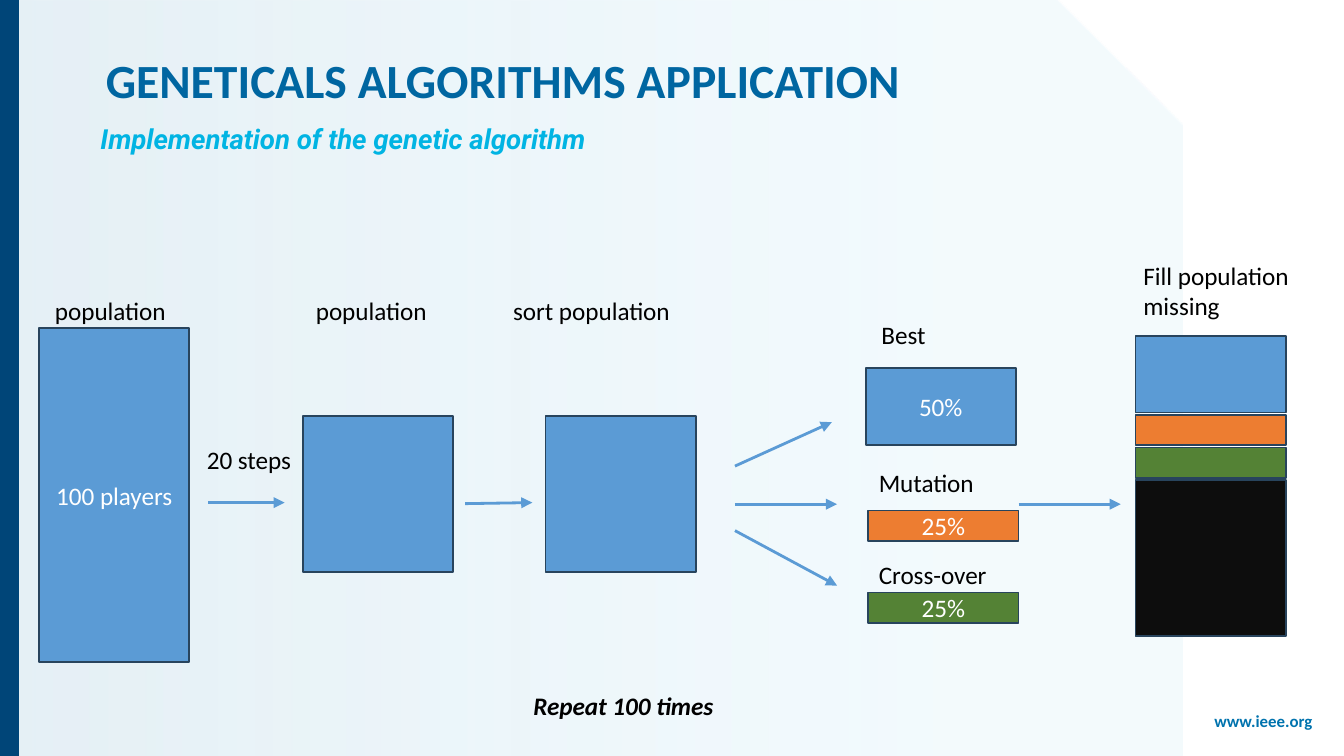
import pptx
import pptx.util
import pptx.dml.color
import pptx.enum.shapes
import pptx.enum.text
import pptx.oxml
import pptx.oxml.ns

Cm, Pt = pptx.util.Cm, pptx.util.Pt
RGBColor = pptx.dml.color.RGBColor
Shape = pptx.enum.shapes.MSO_SHAPE
Align = pptx.enum.text.PP_ALIGN
Anchor = pptx.enum.text.MSO_ANCHOR
qn = pptx.oxml.ns.qn

WHITE = RGBColor(0xFF, 0xFF, 0xFF)
BLACK = RGBColor(0, 0, 0)
COAL = RGBColor(0x0D, 0x0D, 0x0D)
BLUE = RGBColor(0x5B, 0x9B, 0xD5)
ORANGE = RGBColor(0xED, 0x7D, 0x31)
GREEN = RGBColor(0x54, 0x82, 0x35)
EDGE = RGBColor(0x28, 0x44, 0x5D)
NAVY = RGBColor(0, 0x45, 0x78)
TITLE = RGBColor(0, 0x66, 0xA1)
CYAN = RGBColor(0x01, 0xB4, 0xE3)
LINK = RGBColor(0, 0x73, 0xAE)
PALE = RGBColor(0xCB, 0xE0, 0xEB)
MIST = RGBColor(0xD8, 0xF0, 0xFA)

WIDE, HIGH = 25.4, 14.29    # slide, cm
BOX = 2.84                  # width of every box
FULL, HALF, PART = 2.95, 1.45, 0.58    # box heights


def write(frame, text, size=13.5, color=BLACK, face="Calibri", bold=False,
          slant=False, align=Align.LEFT, anchor=Anchor.TOP, lead=1.0):
    """Put one formatted paragraph into a text frame."""
    frame.word_wrap = True
    frame.vertical_anchor = anchor
    par = frame.paragraphs[0]
    par.alignment = align
    par.line_spacing = lead
    run = par.add_run()
    run.text = text
    font = run.font
    font.name, font.size, font.bold, font.italic = face, Pt(size), bold, slant
    font.color.rgb = color


class Painter:
    """Holds the style and the current slide."""

    def __init__(self, slide, edge=EDGE, ink=BLUE):
        self.shapes = slide.shapes
        self.edge, self.ink = edge, ink

    def plain(self, kind, x, y, w, h):
        shape = self.shapes.add_shape(kind, Cm(x), Cm(y), Cm(w), Cm(h))
        shape.shadow.inherit = False
        shape.line.fill.background()
        return shape

    def panel(self, x, y, w, h, stops):
        fill = self.plain(Shape.SNIP_1_RECTANGLE, x, y, w, h).fill
        fill.gradient()
        fill.gradient_angle = 0
        for stop, (place, color, alpha) in zip(fill.gradient_stops, stops):
            stop.position = place
            stop.color.rgb = color
        for node, (_, _, alpha) in zip(fill._xPr.iter(qn("a:srgbClr")), stops):
            pptx.oxml.ns  # namespace map used by qn
            node.append(node.makeelement(qn("a:alpha"),
                                         {"val": str(alpha * 1000)}))

    def bar(self, x, y, w, h, color):
        shape = self.plain(Shape.RECTANGLE, x, y, w, h)
        shape.fill.solid()
        shape.fill.fore_color.rgb = color
        return shape

    def box(self, x, y, h, color=BLUE, text=""):
        shape = self.bar(x, y, BOX, h, color)
        shape.line.color.rgb = self.edge
        shape.line.width = Pt(1)
        if text:
            write(shape.text_frame, text, color=WHITE,
                  align=Align.CENTER, anchor=Anchor.MIDDLE)

    def label(self, text, x, y, w=BOX, h=0.84, **style):
        area = self.shapes.add_textbox(Cm(x), Cm(y), Cm(w), Cm(h))
        write(area.text_frame, text, **style)

    def arrow(self, x1, y1, x2, y2):
        line = self.shapes.add_connector(
            pptx.enum.shapes.MSO_CONNECTOR.STRAIGHT,
            Cm(x1), Cm(y1), Cm(x2), Cm(y2))
        line.line.color.rgb = self.ink
        line.line.width = Pt(1.5)
        stroke = line.line._get_or_add_ln()
        stroke.append(stroke.makeelement(qn("a:tailEnd"),
                                         {"type": "triangle"}))
        props = line._element.spPr
        props.append(props.makeelement(qn("a:effectLst"), {}))


def main():
    deck = pptx.Presentation()
    deck.slide_width, deck.slide_height = Cm(WIDE), Cm(HIGH)
    art = Painter(deck.slides.add_slide(deck.slide_layouts[6]))

    # Backdrop and footer
    art.panel(0, 0, 22.35, HIGH, [(0, PALE, 50), (0.79, MIST, 30)])
    art.bar(0, 0, 0.36, HIGH, NAVY)
    art.label("www.ieee.org", 22.35, 13.36, 3.05, 0.94, size=9, color=LINK,
              bold=True, align=Align.CENTER, lead=0.9)

    # Headings
    art.label("GENETICALS ALGORITHMS APPLICATION", 1.75, 0.15, 18.44, 2.03,
              size=25.5, color=TITLE, bold=True, anchor=Anchor.BOTTOM,
              lead=0.9)
    art.label("Implementation of the genetic algorithm", 1.65, 2.36, 20.17,
              0.74, size=14.8, color=CYAN, face="Roboto", bold=True,
              slant=True, lead=0.7)

    # Population, played and sorted
    art.box(0.74, 6.2, 6.32, text="100 players")
    for x in (5.72, 10.31):
        art.box(x, 7.87, FULL)
    for text, x in (("population", 0.79), ("population", 5.72),
                    ("sort population", 9.45)):
        art.label(text, x, 5.46, 3.71)
    art.label("20 steps", 3.66, 8.28)

    # Three ways to select
    for text, x, y in (("Best", 16.41, 5.92), ("Mutation", 16.36, 8.71),
                       ("Cross-over", 16.36, 10.44)):
        art.label(text, x, y)
    art.box(16.36, 6.96, HALF, BLUE, "50%")
    art.box(16.41, 9.65, PART, ORANGE, "25%")
    art.box(16.41, 11.2, PART, GREEN, "25%")

    # Refilled population, stacked with an equal gap
    art.label("Fill population missing", 21.36, 4.8, 3.71, 1.42)
    y = 6.35
    for h, color in ((HALF, BLUE), (PART, ORANGE), (PART, GREEN),
                     (FULL, COAL)):
        art.box(21.46, y, h, color)
        y += h + 0.04

    # Flow
    for ends in ((3.94, 9.5, 5.38, 9.5), (8.79, 9.52, 10.06, 9.5),
                 (13.89, 8.81, 15.72, 7.98), (13.89, 9.53, 15.82, 9.53),
                 (13.89, 10.03, 15.82, 11.07), (19.25, 9.53, 21.18, 9.53)):
        art.arrow(*ends)
    art.label("Repeat 100 times", 9.83, 12.93, 4.09, bold=True, slant=True)

    deck.save("out.pptx")


if __name__ == "__main__":
    main()
